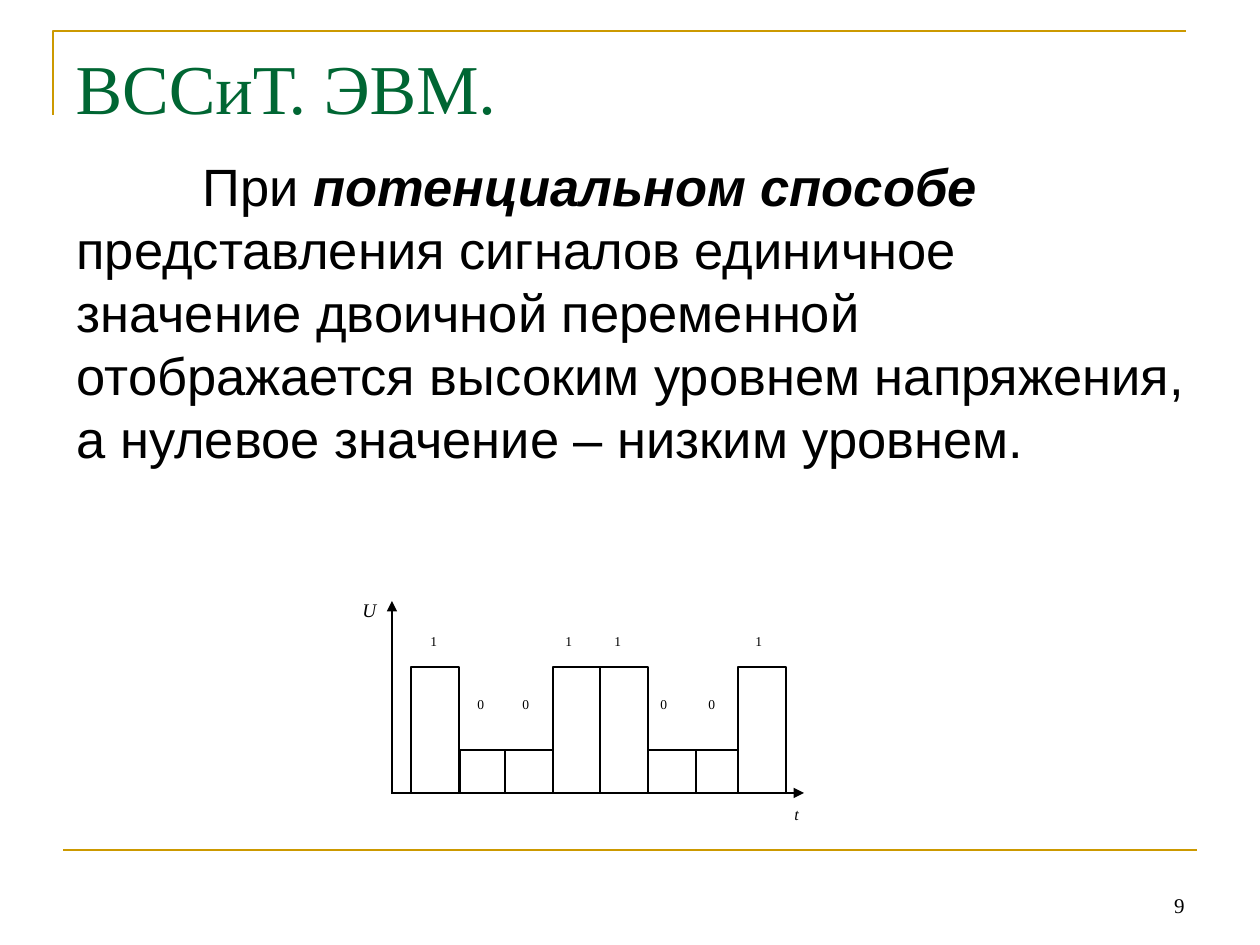
from lxml import etree
from pptx import Presentation
from pptx.dml.color import RGBColor
from pptx.enum.shapes import MSO_CONNECTOR as Connector, MSO_SHAPE as Shape
from pptx.enum.text import MSO_ANCHOR as Anchor, MSO_AUTO_SIZE as AutoSize, PP_ALIGN as Align
from pptx.oxml.ns import qn
from pptx.util import Emu, Inches, Pt

SCALE = Inches(1) / 126  # EMU in one px
color = RGBColor.from_string
SERIF = "Times New Roman"


def px(*values):
    return [Emu(round(value * SCALE)) for value in values]


def add_line(shapes, ends, line_color, width, arrow=False):
    line = shapes.add_connector(Connector.STRAIGHT, *px(*ends))
    line.line.color.rgb = color(line_color)
    line.line.width = Pt(width)
    if arrow:
        etree.SubElement(line.line._get_or_add_ln(), qn("a:tailEnd"), type="triangle")
    etree.SubElement(line._element.spPr, qn("a:effectLst"))


presentation = Presentation()
presentation.slide_width, presentation.slide_height = px(1260, 945)
slide = presentation.slides.add_slide(presentation.slide_layouts[1])
title, body = slide.placeholders

# Gold frame: corner at the top, rule at the bottom
builder = slide.shapes.build_freeform(53, 115, scale=SCALE)
builder.add_line_segments([(53, 31), (1186, 31)], close=False)
corner = builder.convert_to_shape()
corner.shadow.inherit = False
corner.fill.background()
corner.line.color.rgb = color("CC9900")
corner.line.width = Pt(1.5)
add_line(slide.shapes, (63, 850, 1197, 850), "CC9900", 1.5)

# Title
title.left, title.top, title.width, title.height = px(63, 38, 1134, 157)
title.text_frame.text = "ВССиТ. ЭВМ."
title.text_frame.vertical_anchor = Anchor.TOP
title.text_frame.auto_size = AutoSize.NONE
paragraph = title.text_frame.paragraphs[0]
paragraph.alignment = Align.LEFT
paragraph.font.name, paragraph.font.size = SERIF, Pt(40)
paragraph.font.color.rgb = color("006633")

# Definition
body.left, body.top, body.width, body.height = px(64, 148, 1135, 388)
body.text_frame.auto_size = AutoSize.NONE
paragraph = body.text_frame.paragraphs[0]
properties = paragraph._p.get_or_add_pPr()
properties.set("marL", "0")
properties.set("indent", str(Inches(1)))
etree.SubElement(properties, qn("a:buNone"))
paragraph.space_before = Pt(0)
paragraph.line_spacing = Pt(36)
for text, emphasis in (
    ("При", False),
    (" потенциальном способе", True),
    (" представления сигналов единичное значение двоичной переменной отображается "
     "высоким уровнем напряжения, а нулевое значение – низким уровнем.", False),
):
    run = paragraph.add_run()
    run.text = text
    run.font.bold = run.font.italic = emphasis
paragraph.font.name, paragraph.font.size = "Arial", Pt(30)
paragraph.font.color.rgb = color("000000")

# Slide number
number = slide.shapes.add_textbox(*px(903, 861, 294, 63))
number.text_frame.word_wrap = True
number.text_frame.vertical_anchor = Anchor.BOTTOM
paragraph = number.text_frame.paragraphs[0]
paragraph.text = "9"
paragraph.alignment = Align.RIGHT
paragraph.font.name, paragraph.font.size = SERIF, Pt(12)
paragraph.font.color.rgb = color("000000")

# Signal diagram: axes
diagram = slide.shapes.add_group_shape().shapes
add_line(diagram, (392, 794, 392, 601), "000000", 0.75, arrow=True)
add_line(diagram, (392, 793, 804, 793), "000000", 0.75, arrow=True)

# Signal diagram: bits as (digit, label left, bar left)
bits = [("1", 418, 411), ("0", 465, 460), ("0", 510, 505), ("1", 553, 553),
        ("1", 602, 600), ("0", 648, 648), ("0", 696, 696), ("1", 743, 738)]
label_tops = {"1": 630, "0": 693}
bar_tops = {"1": 667, "0": 750}

# Labels: text, box, size, line spacing
labels = [("t", (782, 800, 37, 33), 9.3, 0.9), ("U", (350, 592, 37, 49), 11, 1.0)]
labels += [(digit, (left, label_tops[digit], 30, 31), 7.7, 0.8) for digit, left, _ in bits]
for text, box, size, spacing in labels:
    label = diagram.add_textbox(*px(*box))
    label.text_frame.word_wrap = True
    paragraph = label.text_frame.paragraphs[0]
    paragraph.text = text
    paragraph.line_spacing = spacing
    paragraph.font.name, paragraph.font.size = SERIF, Pt(size)
    paragraph.font.italic = text.isalpha()
    paragraph.font.color.rgb = color("000000")

# Bars
for digit, _, left in bits:
    top = bar_tops[digit]
    bar = diagram.add_shape(Shape.RECTANGLE, *px(left, top, 48, 793 - top))
    bar.shadow.inherit = False
    bar.fill.solid()
    bar.fill.fore_color.rgb = color("FFFFFF")
    bar.line.color.rgb = color("000000")
    bar.line.width = Pt(0.75)

presentation.save("out.pptx")
